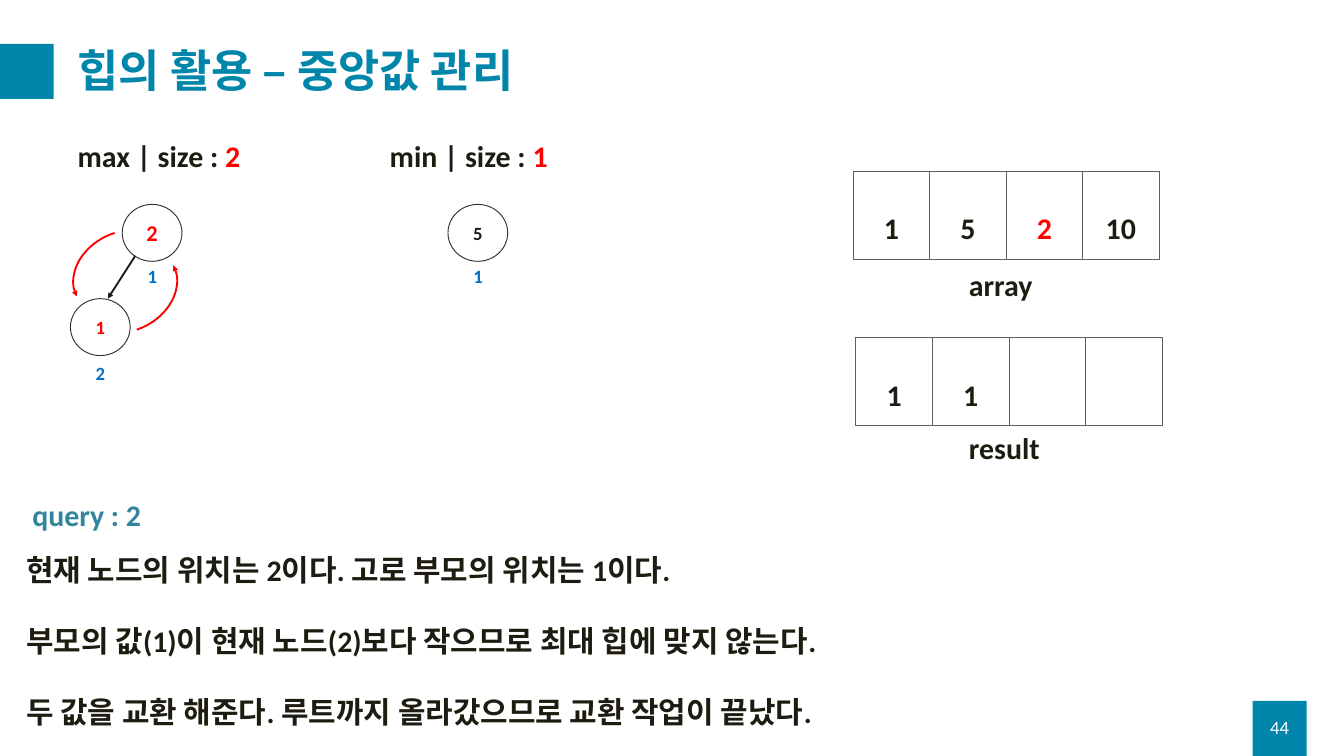
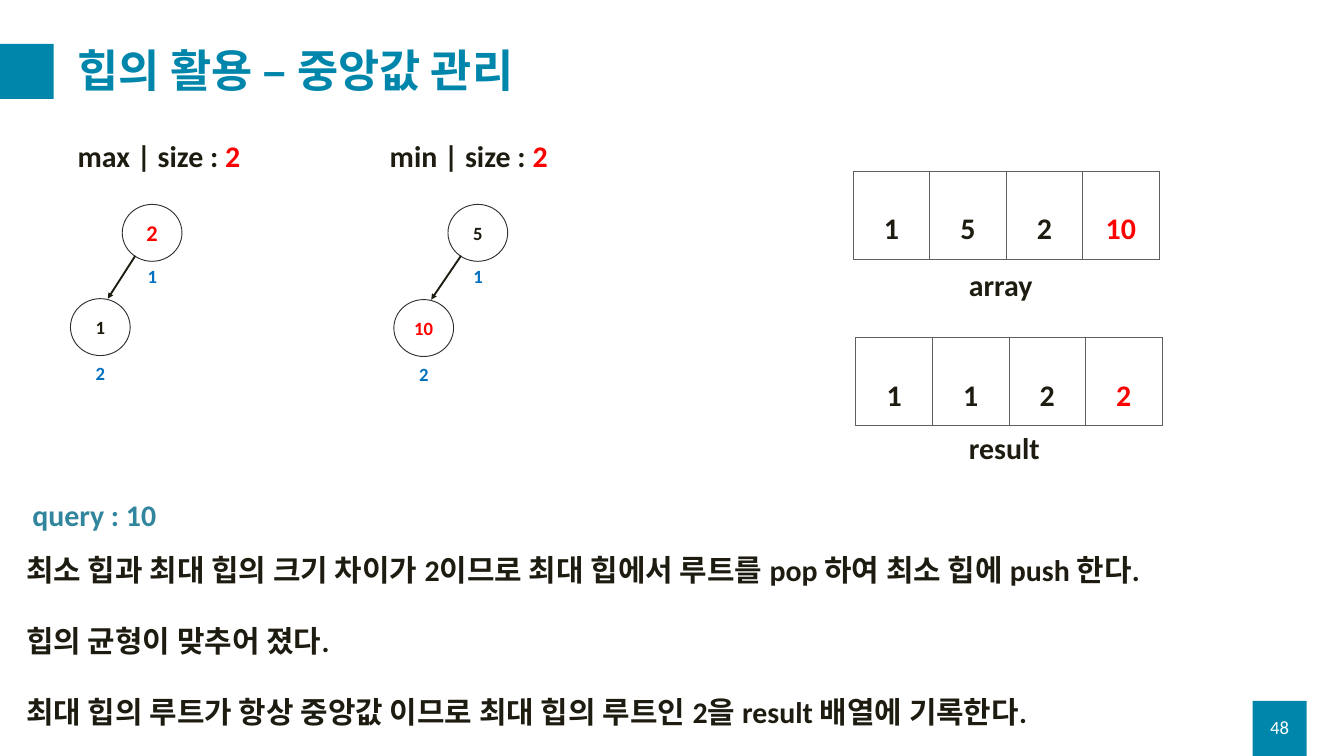
from lxml import etree
from pptx import Presentation
from pptx.dml.color import RGBColor
from pptx.enum import shapes, text
from pptx.oxml import ns
from pptx.util import Pt

TEAL = RGBColor(0x00, 0x86, 0xAB)
QUERY = RGBColor(0x31, 0x85, 0x9C)
INK = RGBColor(0x1E, 0x1C, 0x11)
RED = RGBColor(0xFF, 0x00, 0x00)
BLUE = RGBColor(0x00, 0x70, 0xC0)
OUTLINE = RGBColor(0x30, 0x30, 0x30)
GRID = RGBColor(0x5F, 0x5F, 0x5F)
WHITE = RGBColor(0xFF, 0xFF, 0xFF)

FONT = "Calibri"
NODE_WIDTH, NODE_HEIGHT = 64, 61
CELL_WIDTH, CELL_HEIGHT = 82, 94
SWAP_ARCS = [(95, 256, 61), (88.5, 237, 242.2)]


def add_span(para, words, size=32, color=INK, bold=True):
    span = para.add_run()
    span.text = words
    span.font.name = FONT
    span.font.size = Pt(size)
    span.font.bold = bold
    span.font.color.rgb = color


def add_text(page, words, left, top, width, height, align=text.PP_ALIGN.LEFT,
             anchor=text.MSO_ANCHOR.TOP, spacing=None, gap=0, accent="", **style):
    box = page.shapes.add_textbox(Pt(left), Pt(top), Pt(width), Pt(height))
    frame = box.text_frame
    frame.word_wrap = True
    frame.vertical_anchor = anchor
    for index, line in enumerate(words.split("\n")):
        para = frame.add_paragraph() if index else frame.paragraphs[0]
        para.alignment = align
        para.line_spacing = spacing
        para.space_before = Pt(gap if index else 0)
        add_span(para, line, **style)
    if accent:
        add_span(para, accent, color=RED)


def add_figure(page, kind, left, top, width, height, fill=None, line=None, weight=1):
    figure = page.shapes.add_shape(kind, Pt(left), Pt(top), Pt(width), Pt(height))
    figure.shadow.inherit = False
    if fill is None:
        figure.fill.background()
    else:
        figure.fill.solid()
        figure.fill.fore_color.rgb = fill
    if line is None:
        figure.line.fill.background()
    else:
        figure.line.color.rgb = line
        figure.line.width = Pt(weight)
    return figure


def add_arrowhead(figure, end):
    outline = figure.element.spPr.find(ns.qn("a:ln"))
    etree.SubElement(outline, ns.qn(f"a:{end}"), type="triangle")


def add_node(page, left, top, value, position, label_drop, color=INK, size=20):
    node = add_figure(page, shapes.MSO_SHAPE.OVAL, left, top, NODE_WIDTH, NODE_HEIGHT,
                      fill=WHITE, line=OUTLINE)
    node.text_frame.vertical_anchor = text.MSO_ANCHOR.MIDDLE
    para = node.text_frame.paragraphs[0]
    para.alignment = text.PP_ALIGN.CENTER
    add_span(para, value, size=size, color=color)
    add_text(page, position, left + 20, top + label_drop, 22, 32, size=20, color=BLUE)


def add_edge(page, root, child):
    edge = page.shapes.add_connector(
        shapes.MSO_CONNECTOR.STRAIGHT, Pt(root[0] + 14), Pt(root[1] + 55),
        Pt(child[0] + 40), Pt(child[1]))
    edge.line.color.rgb = INK
    edge.line.width = Pt(2)
    add_arrowhead(edge, "tailEnd")
    etree.SubElement(edge.element.spPr, ns.qn("a:effectLst"))


def add_heap(page, name, size, caption_left, root, child, root_node, child_node=None):
    add_text(page, f"{name} | size : ", caption_left, 144, 216, 46, accent=size)
    add_node(page, *root, position="1", label_drop=61, **root_node)
    if child_node:
        add_edge(page, root, child)
        add_node(page, *child, position="2", label_drop=64, **child_node)


def add_swap_arcs(page):
    for left, top, turn in SWAP_ARCS:
        arc = add_figure(page, shapes.MSO_SHAPE.ARC, left, top, 85, 110, line=RED, weight=2)
        arc.adjustments[0] = 162
        arc.adjustments[1] = 10.149
        arc.rotation = turn
        add_arrowhead(arc, "headEnd")


def add_borders(cell):
    props = cell._tc.get_or_add_tcPr()
    for side in ("lnL", "lnR", "lnT", "lnB"):
        border = etree.SubElement(props, ns.qn(f"a:{side}"), w=str(Pt(1)))
        fill = etree.SubElement(border, ns.qn("a:solidFill"))
        etree.SubElement(fill, ns.qn("a:srgbClr"), val=str(GRID))


def add_array(page, left, top, values, red_index=None):
    table = page.shapes.add_table(1, len(values), Pt(left), Pt(top),
                                  Pt(CELL_WIDTH * len(values)), Pt(CELL_HEIGHT)).table
    table.first_row = table.horz_banding = False
    for index, value in enumerate(values):
        table.columns[index].width = Pt(CELL_WIDTH)
        cell = table.cell(0, index)
        add_borders(cell)
        cell.fill.solid()
        cell.fill.fore_color.rgb = WHITE
        if value:
            para = cell.text_frame.paragraphs[0]
            para.alignment = text.PP_ALIGN.CENTER
            para.line_spacing = 2.0
            add_span(para, value, color=RED if index == red_index else INK)


def add_page(deck, number, query, notes, array_red, result, result_red=None):
    page = deck.slides.add_slide(deck.slide_layouts[6])
    for left, top in ((1342, 751), (-0.5, 47)):
        add_figure(page, shapes.MSO_SHAPE.RECTANGLE, left, top, 58, 59, fill=TEAL)
    middle = text.MSO_ANCHOR.MIDDLE
    add_text(page, "힙의 활용 – 중앙값 관리", 76, 36, 1314, 85, anchor=middle,
             spacing=0.9, size=48, color=TEAL)
    add_text(page, number, 1342, 757.5, 58, 43, anchor=middle,
             align=text.PP_ALIGN.CENTER, size=20, color=WHITE, bold=False)
    add_array(page, 914, 183.5, ["1", "5", "2", "10"], array_red)
    add_array(page, 917, 362, result, result_red)
    add_text(page, "array", 1031, 282, 83, 46)
    add_text(page, "result", 1031, 457, 107, 46)
    add_text(page, f"query : {query}", 27.5, 528.5, 485, 46, color=QUERY)
    add_text(page, notes, 21, 587.5, 1380, 201, gap=37.5)
    return page


def add_heaps(page, min_size, max_child, min_child=None):
    add_heap(page, "max", "2", 76, (131, 219), (75.5, 320),
             {"value": "2", "color": RED, "size": 24}, max_child)
    add_heap(page, "min", min_size, 410.5, (480, 219), (422, 321),
             {"value": "5"}, min_child)


def main():
    deck = Presentation()
    deck.slide_width, deck.slide_height = Pt(1440), Pt(810)

    swap_page = add_page(
        deck, "44", "2",
        "현재 노드의 위치는 2이다. 고로 부모의 위치는 1이다.\n"
        "부모의 값(1)이 현재 노드(2)보다 작으므로 최대 힙에 맞지 않는다.\n"
        "두 값을 교환 해준다. 루트까지 올라갔으므로 교환 작업이 끝났다.",
        array_red=2, result=["1", "1", "", ""])
    add_heaps(swap_page, "1", {"value": "1", "color": RED})
    add_swap_arcs(swap_page)

    median_page = add_page(
        deck, "48", "10",
        "최소 힙과 최대 힙의 크기 차이가 2이므로 최대 힙에서 루트를 pop 하여 최소 힙에 push 한다.\n"
        "힙의 균형이 맞추어 졌다.\n"
        "최대 힙의 루트가 항상 중앙값 이므로 최대 힙의 루트인 2을 result 배열에 기록한다.",
        array_red=3, result=["1", "1", "2", "2"], result_red=3)
    add_heaps(median_page, "2", {"value": "1"}, {"value": "10", "color": RED})

    deck.save("out.pptx")


if __name__ == "__main__":
    main()
